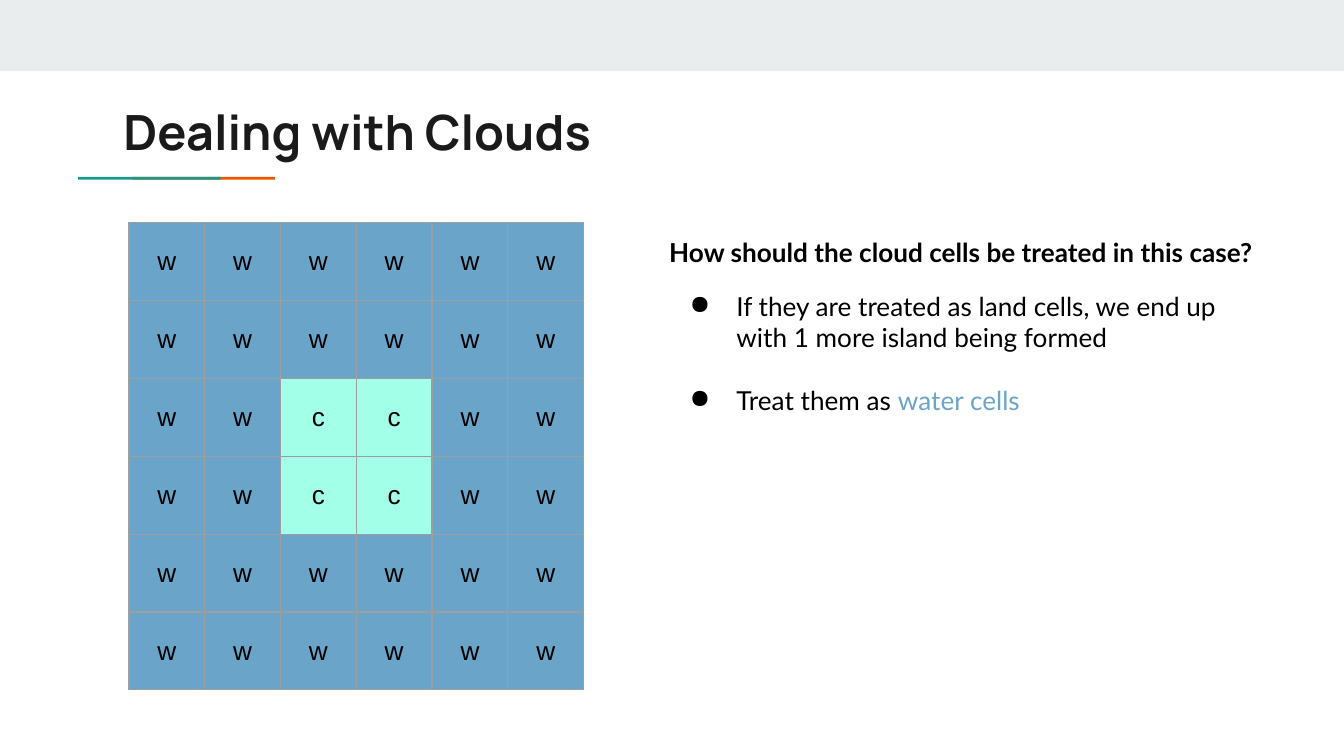
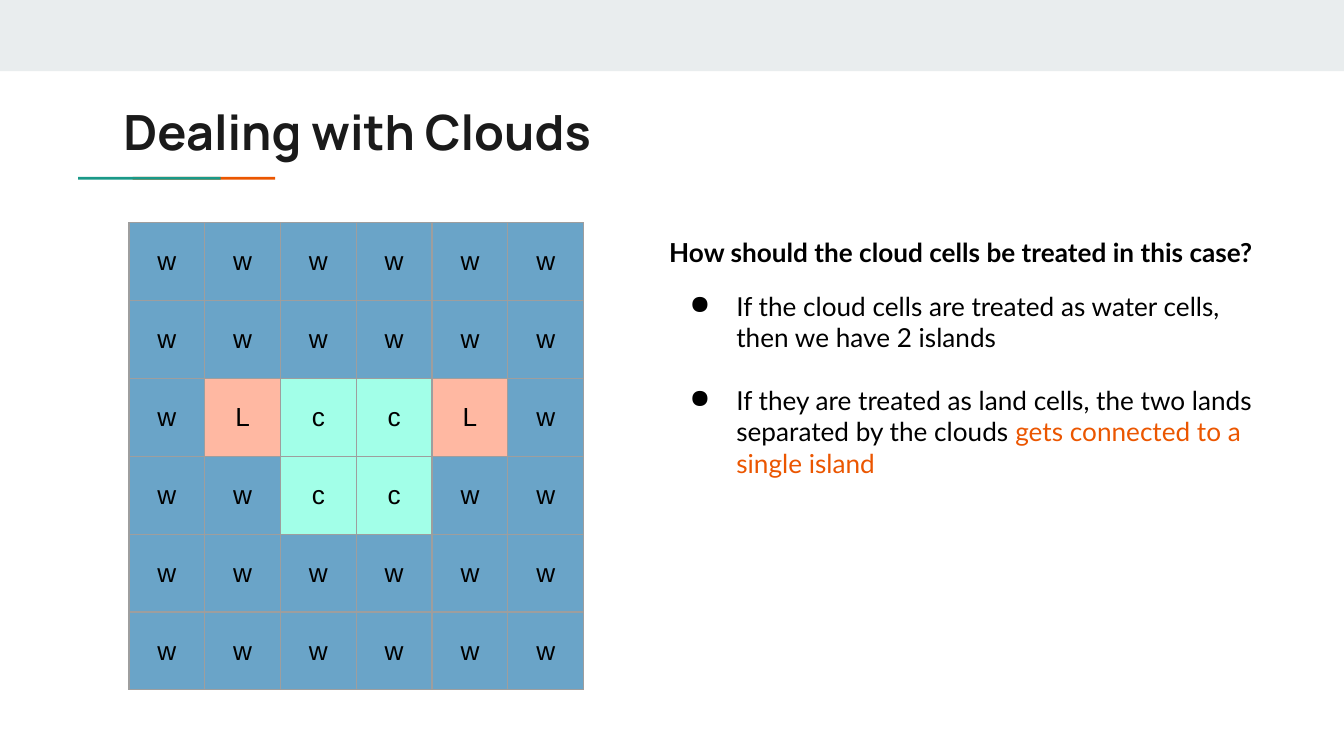
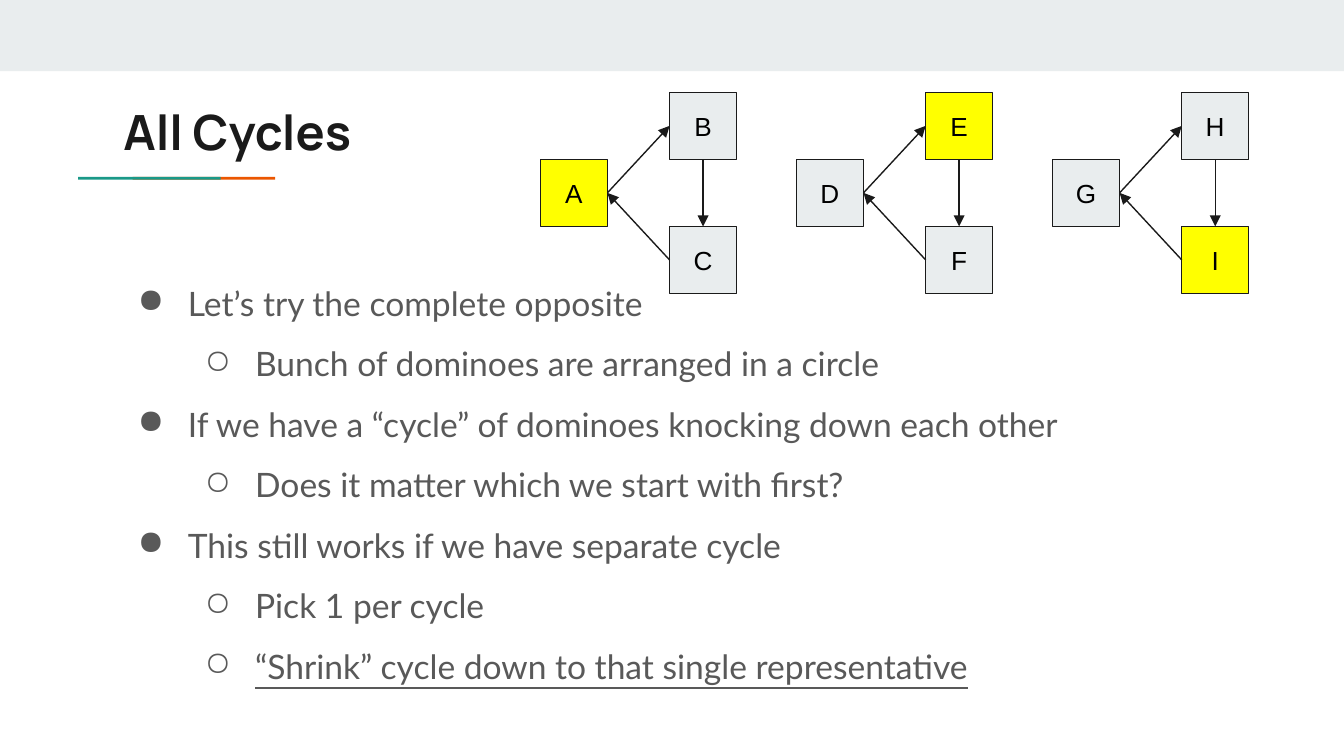
from dataclasses import dataclass

from lxml.etree import SubElement
from pptx import Presentation
from pptx.dml.color import RGBColor
from pptx.enum.shapes import MSO_CONNECTOR as Connector, MSO_SHAPE as Shape
from pptx.enum.text import MSO_ANCHOR as Anchor, PP_ALIGN as Align
from pptx.oxml.ns import qn
from pptx.util import Pt


@dataclass(frozen=True)
class Theme:
    band: str = "E9EDEE"
    teal: str = "1A9988"
    orange: str = "EB5600"
    ink: str = "1A1A1A"
    black: str = "000000"
    grey: str = "595959"
    water: str = "6AA4C8"
    cloud: str = "A2FFE8"
    land: str = "FFB8A2"
    grid: str = "9E9E9E"
    picked: str = "FFFF00"
    title_font: str = "Manrope"
    body_font: str = "Lato"
    cell_font: str = "Arial"
    title_size: float = 26
    body_size: float = 18
    note_size: float = 14
    line: float = 0.75


THEME = Theme()

QUESTION = "How should the cloud cells be treated in this case?"
CLOUD_SLIDES = [
    {
        "title": "Dealing with Clouds",
        "map": ["wwwwww", "wwwwww", "wwccww", "wwccww", "wwwwww", "wwwwww"],
        "answers": [
            [("If they are treated as land cells, we end up with 1 more island being formed", THEME.black)],
            [("Treat them as ", THEME.black), ("water cells", THEME.water)],
        ],
    },
    {
        "title": "Dealing with Clouds",
        "map": ["wwwwww", "wwwwww", "wLccLw", "wwccww", "wwwwww", "wwwwww"],
        "answers": [
            [("If the cloud cells are treated as water cells, then we have 2 islands", THEME.black)],
            [("If they are treated as land cells, the two lands separated by the clouds ", THEME.black),
             ("gets connected to a single island", THEME.orange)],
        ],
    },
]
CELL_FILLS = {"w": THEME.water, "c": THEME.cloud, "L": THEME.land}

CYCLES_TITLE = "All Cycles"
CYCLES = ["ABC", "DEF", "GHI"]
REPRESENTATIVES = "AEI"
# level, text, underlined
CYCLE_POINTS = [
    (0, "Let’s try the complete opposite", False),
    (1, "Bunch of dominoes are arranged in a circle", False),
    (0, "If we have a “cycle” of dominoes knocking down each other", False),
    (1, "Does it matter which we start with first?", False),
    (0, "This still works if we have separate cycle", False),
    (1, "Pick 1 per cycle", False),
    (1, "“Shrink” cycle down to that single representative", True),
]

# left, top, width, height in points
TOP_BAND = (0, 0, 720, 38.2)
UNDERLINES = [(THEME.orange, (71, 94.7, 76.4, 1.5)), (THEME.teal, (41.8, 94.7, 76.4, 1.5))]
TITLE_AREA = (59, 47.5, 605.5, 42.3)
MAP_CORNER = (69.1, 119.4)
MAP_CELL = (40.6, 41.7)
QUESTION_AREA = (351.4, 119.5, 328.3, 35.3)
ANSWER_AREA = (351.4, 148.3, 328.3, 132.5)
POINTS_AREA = (57.6, 136.8, 605.5, 234.7)
CYCLE_CORNER = (289.5, 49.5)
CYCLE_PITCH = 137.2
NODE = 35.9
NODE_PLACES = [(0, NODE), (69.2, 0), (69.2, 2 * NODE)]
LEFT_SIDE, BOTTOM_SIDE, RIGHT_SIDE, TOP_SIDE = 1, 2, 3, 0
MARGIN = 7.2


def points(lengths):
    return [Pt(length) for length in lengths]


def rgb(colour):
    return RGBColor.from_string(colour)


def add_words(paragraph, words, font, size, colour, bold=False, underline=False):
    run = paragraph.add_run()
    run.text = words
    run.font.name, run.font.size = font, Pt(size)
    run.font.color.rgb = rgb(colour)
    if bold:
        run.font.bold = True
    if underline:
        run.font.underline = True


def set_bullet(paragraph, mark, colour, left, hang):
    properties = paragraph._p.get_or_add_pPr()
    properties.set("marL", str(Pt(left)))
    properties.set("indent", str(-Pt(hang)))
    bullet_colour = SubElement(properties, qn("a:buClr"))
    SubElement(bullet_colour, qn("a:srgbClr"), val=colour)
    SubElement(properties, qn("a:buChar"), char=mark)


def add_paragraphs(frame, count):
    return [frame.paragraphs[0]] + [frame.add_paragraph() for _ in range(count - 1)]


def pad(holder):
    holder.margin_left = holder.margin_right = Pt(MARGIN)
    holder.margin_top = holder.margin_bottom = Pt(MARGIN)


def add_text_area(slide, area, anchor=Anchor.TOP):
    frame = slide.shapes.add_textbox(*points(area)).text_frame
    frame.word_wrap = True
    frame.vertical_anchor = anchor
    pad(frame)
    return frame


def add_box(slide, area, fill, outline=None):
    box = slide.shapes.add_shape(Shape.RECTANGLE, *points(area))
    box.shadow.inherit = False
    box.fill.solid()
    box.fill.fore_color.rgb = rgb(fill)
    if outline:
        box.line.color.rgb = rgb(outline)
        box.line.width = Pt(THEME.line)
    else:
        box.line.fill.background()
    return box


def start_slide(deck, title):
    """Add a blank slide with the shared band, underline and title."""
    slide = deck.slides.add_slide(deck.slide_layouts[6])
    add_box(slide, TOP_BAND, THEME.band)
    for colour, area in UNDERLINES:
        add_box(slide, area, colour)
    heading = add_text_area(slide, TITLE_AREA).paragraphs[0]
    add_words(heading, title, THEME.title_font, THEME.title_size, THEME.ink, bold=True)
    return slide


def add_letter(frame, letter):
    paragraph = frame.paragraphs[0]
    paragraph.alignment = Align.CENTER
    add_words(paragraph, letter, THEME.cell_font, THEME.note_size, THEME.black)


def set_borders(cell):
    properties = cell._tc.get_or_add_tcPr()
    for side in ("lnL", "lnR", "lnT", "lnB"):
        border = SubElement(properties, qn(f"a:{side}"), w=str(Pt(THEME.line)))
        fill = SubElement(border, qn("a:solidFill"))
        SubElement(fill, qn("a:srgbClr"), val=THEME.grid)


def add_map(slide, rows):
    height, width = len(rows), len(rows[0])
    cell_width, cell_height = MAP_CELL
    area = (*MAP_CORNER, width * cell_width, height * cell_height)
    sea = slide.shapes.add_table(height, width, *points(area)).table
    sea.first_row = sea.horz_banding = False
    for column in sea.columns:
        column.width = Pt(cell_width)
    for y, row in enumerate(rows):
        sea.rows[y].height = Pt(cell_height)
        for x, letter in enumerate(row):
            cell = sea.cell(y, x)
            cell.vertical_anchor = Anchor.MIDDLE
            pad(cell)
            set_borders(cell)
            cell.fill.solid()
            cell.fill.fore_color.rgb = rgb(CELL_FILLS[letter])
            add_letter(cell.text_frame, letter)


def add_cloud_slide(deck, content):
    slide = start_slide(deck, content["title"])
    add_map(slide, content["map"])
    question = add_text_area(slide, QUESTION_AREA).paragraphs[0]
    add_words(question, QUESTION, THEME.body_font, THEME.note_size, THEME.black, bold=True)
    answers = content["answers"]
    frame = add_text_area(slide, ANSWER_AREA)
    for paragraph, answer in zip(add_paragraphs(frame, len(answers)), answers):
        paragraph.space_after = Pt(16.8)
        set_bullet(paragraph, "●", THEME.black, 36, 25)
        for words, colour in answer:
            add_words(paragraph, words, THEME.body_font, THEME.note_size, colour)


def add_arrow(slide, source, source_side, target, target_side):
    arrow = slide.shapes.add_connector(Connector.STRAIGHT, 0, 0, 0, 0)
    arrow.begin_connect(source, source_side)
    arrow.end_connect(target, target_side)
    arrow.line.color.rgb = rgb(THEME.ink)
    arrow.line.width = Pt(THEME.line)
    SubElement(arrow.line._get_or_add_ln(), qn("a:tailEnd"), type="triangle")
    SubElement(arrow._element.spPr, qn("a:effectLst"))


def add_cycle(slide, left, letters):
    nodes = []
    for letter, (dx, dy) in zip(letters, NODE_PLACES):
        fill = THEME.picked if letter in REPRESENTATIVES else THEME.band
        node = add_box(slide, (left + dx, CYCLE_CORNER[1] + dy, NODE, NODE), fill, THEME.ink)
        node.text_frame.vertical_anchor = Anchor.MIDDLE
        pad(node.text_frame)
        add_letter(node.text_frame, letter)
        nodes.append(node)
    first, upper, lower = nodes
    add_arrow(slide, first, RIGHT_SIDE, upper, LEFT_SIDE)
    add_arrow(slide, lower, LEFT_SIDE, first, RIGHT_SIDE)
    add_arrow(slide, upper, BOTTOM_SIDE, lower, TOP_SIDE)


def add_cycles_slide(deck):
    slide = start_slide(deck, CYCLES_TITLE)
    frame = add_text_area(slide, POINTS_AREA, Anchor.MIDDLE)
    paragraphs = add_paragraphs(frame, len(CYCLE_POINTS))
    for paragraph, (level, words, underlined) in zip(paragraphs, CYCLE_POINTS):
        paragraph.level = level
        paragraph.line_spacing = 1.5
        set_bullet(paragraph, "●○"[level], THEME.grey, 36 * (level + 1), 27)
        add_words(paragraph, words, THEME.body_font, THEME.body_size, THEME.grey,
                  underline=underlined)
    for index, letters in enumerate(CYCLES):
        add_cycle(slide, CYCLE_CORNER[0] + index * CYCLE_PITCH, letters)


def main():
    deck = Presentation()
    deck.slide_width, deck.slide_height = Pt(720), Pt(405)
    for content in CLOUD_SLIDES:
        add_cloud_slide(deck, content)
    add_cycles_slide(deck)
    deck.save("out.pptx")


if __name__ == "__main__":
    main()
